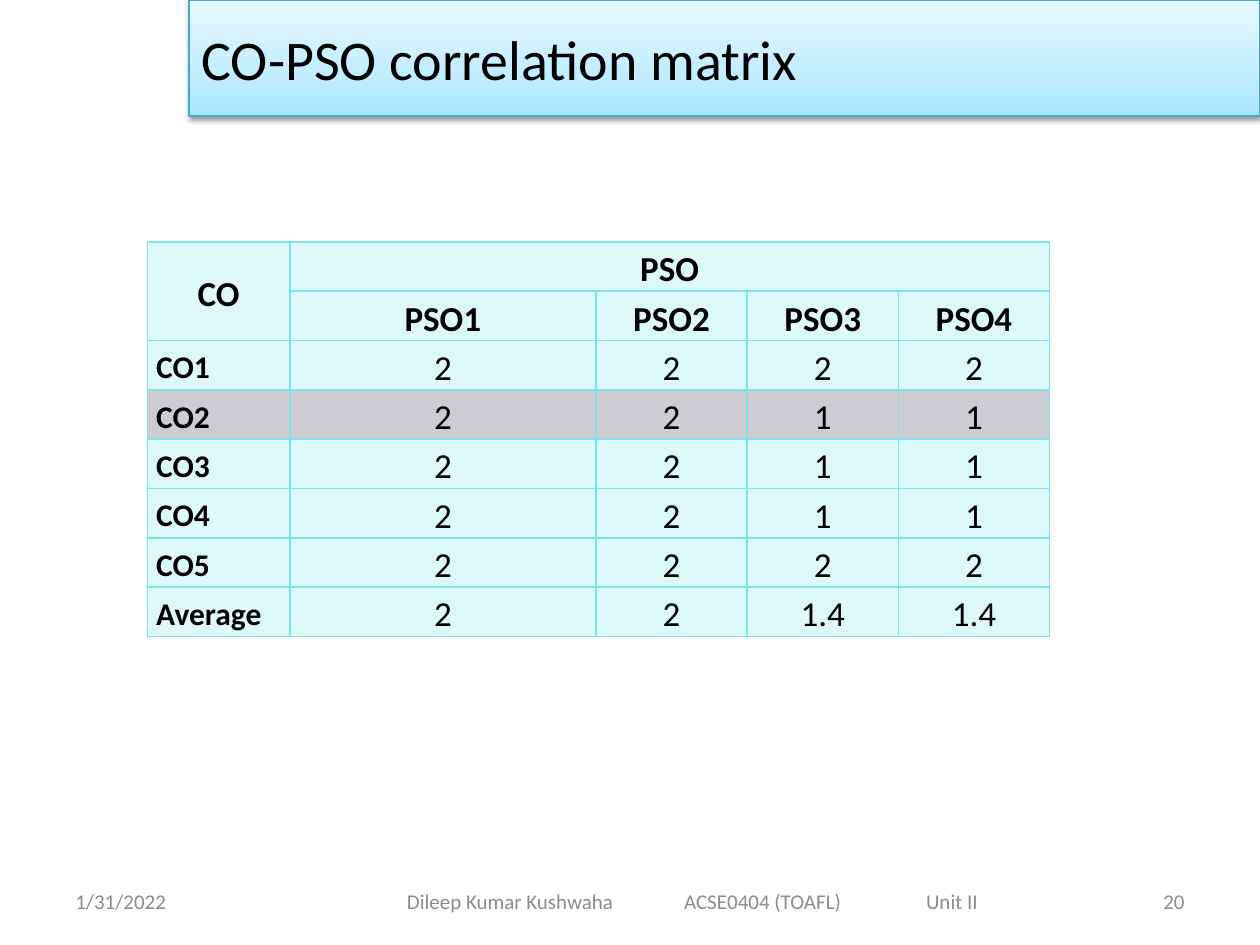
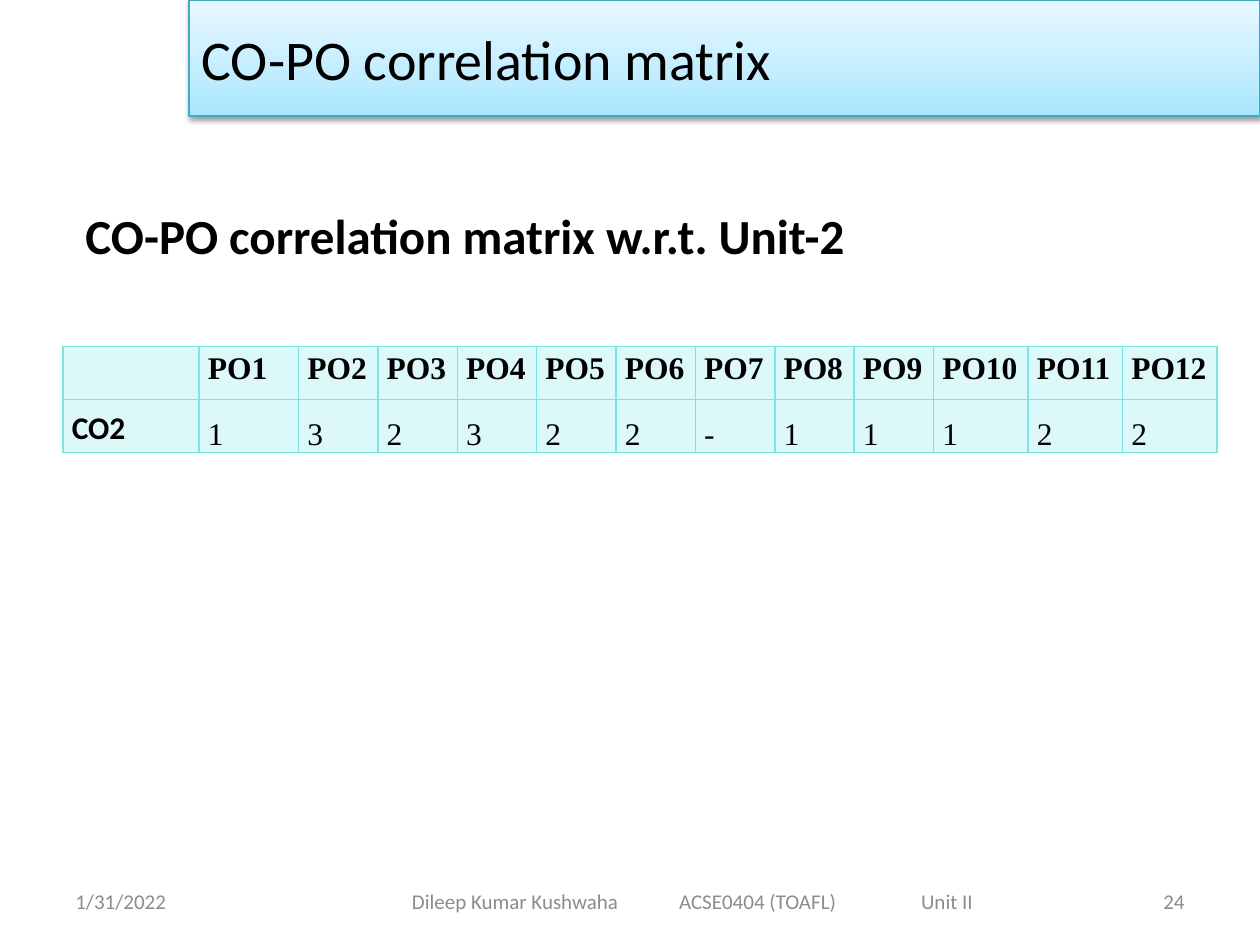
"""Build two slides that show course outcome correlation matrices."""
from lxml import etree
from pptx import Presentation
from pptx import oxml
from pptx import util as u
from pptx.dml.color import RGBColor
from pptx.enum import text as t
from pptx.oxml.ns import qn

SANS, SERIF = "Calibri", "Times New Roman"
BLACK, GREY, TEAL, PLUM, EDGE = "000000", "8C8C8C", "7BE5E5", "403152", "46AAC5"
BAND = [(0, "A7E6FF"), (35, "C1EDFF"), (100, "E7F8FF")]
NS = 'xmlns:a="http://schemas.openxmlformats.org/drawingml/2006/main"'
LEFT, MID, RIGHT, FULL = (t.PP_ALIGN.LEFT, t.PP_ALIGN.CENTER,
                          t.PP_ALIGN.RIGHT, t.PP_ALIGN.JUSTIFY)
TOP, CORE, BASE = t.MSO_ANCHOR.TOP, t.MSO_ANCHOR.MIDDLE, t.MSO_ANCHOR.BOTTOM

DATE = "1/31/2022"
FOOT = ["Dileep Kumar Kushwaha", "ACSE0404 (TOAFL)", "Unit II"]
SIDE = dict(size=18, bold=True, anchor=CORE)

PAGES = [
    dict(title="CO-PSO correlation matrix", num="20", stops=[3.23, 5.43, 7.35],
         at=(1.17, 1.92), wide=[1.13, 2.43] + [1.2] * 3, high=0.38,
         heads=2, spans=[(0, 0, 1, 0), (0, 1, 0, 4)], dark=3,
         corner=dict(size=20, bold=True, anchor=CORE, align=MID),
         head=dict(size=20, bold=True, align=MID),
         body=dict(size=20, align=MID),
         rows=[["CO", "PSO", "", "", ""],
               ["", "PSO1", "PSO2", "PSO3", "PSO4"],
               ["CO1", "2", "2", "2", "2"],
               ["CO2", "2", "2", "1", "1"],
               ["CO3", "2", "2", "1", "1"],
               ["CO4", "2", "2", "1", "1"],
               ["CO5", "2", "2", "2", "2"],
               ["Average", "2", "2", "1.4", "1.4"]]),
    dict(title="CO-PO correlation matrix", num="24", stops=[3.27, 5.39, 7.31],
         lead="CO-PO correlation matrix w.r.t. Unit-2",
         at=(0.5, 2.75), wide=[1.08, 0.79] + [0.63] * 8 + [0.75] * 3, high=0.42,
         heads=1, spans=[], dark=None, corner=SIDE,
         head=dict(size=18, bold=True, align=FULL, face=SERIF),
         body=dict(size=18, anchor=BASE, after=10, face=SERIF),
         rows=[[""] + [f"PO{n}" for n in range(1, 13)],
               ["CO2", "1", "3", "2", "3", "2", "2", "-", "1", "1", "1", "2", "2"]]),
]


def tint(code):
    return RGBColor.from_string(code)


def node(xml):
    return oxml.parse_xml(xml.replace(">", f" {NS}>", 1))


def put(frame, words, size=12, color=BLACK, face=SANS, bold=False,
        align=LEFT, space=None, after=None, tabs=()):
    para = frame.paragraphs[0]
    para.text = words
    para.alignment = align
    if space:
        para.line_spacing = space
    if after:
        para.space_after = u.Pt(after)
    if tabs:
        stops = etree.SubElement(para._p.get_or_add_pPr(), qn("a:tabLst"))
        for tab in tabs:
            etree.SubElement(stops, qn("a:tab"), pos=str(u.Inches(tab)), algn="l")
    for run in para.runs:
        font = run.font
        font.name, font.size, font.bold = face, u.Pt(size), bold
        font.color.rgb = tint(color)


def box(slide, words, place, wrap=True, anchor=CORE, inset=0.1, **form):
    frame = slide.shapes.add_textbox(*map(u.Inches, place)).text_frame
    frame.word_wrap = wrap
    frame.vertical_anchor = anchor
    frame.margin_left = u.Inches(inset)
    put(frame, words, **form)


def head(slide, words):
    bar = slide.shapes.title
    bar.left, bar.top, bar.width, bar.height = map(u.Inches, (1.5, 0, 8.5, 0.92))
    stops = "".join(f'<a:gs pos="{pos * 1000}"><a:srgbClr val="{code}"/></a:gs>'
                    for pos, code in BAND)
    props = bar._element.spPr
    props.append(node(f'<a:gradFill rotWithShape="1"><a:gsLst>{stops}</a:gsLst>'
                      '<a:lin ang="16200000" scaled="1"/></a:gradFill>'))
    bar.line.color.rgb = tint(EDGE)
    bar.line.width = u.Pt(0.75)
    props.append(node('<a:effectLst><a:outerShdw blurRad="40000" dist="20000" '
                      'dir="5400000" rotWithShape="0"><a:srgbClr val="000000">'
                      '<a:alpha val="38000"/></a:srgbClr></a:outerShdw></a:effectLst>'))
    bar.text_frame.vertical_anchor = CORE
    put(bar.text_frame, words, size=32)


def foot(slide, num, stops):
    start, *rest = stops
    box(slide, DATE, (0.5, 6.95, 2.33, 0.4), color=GREY)
    box(slide, num, (7.17, 6.95, 2.33, 0.4), color=GREY, align=RIGHT)
    box(slide, "\t".join(FOOT), (2.75, 6.95, 5.5, 0.4), color=GREY,
        inset=start - 2.75, tabs=[stop - start for stop in rest])


def paint(cell, code):
    cell.fill.solid()
    cell.fill.fore_color.rgb = tint(code)
    props = cell._tc.get_or_add_tcPr()
    etree.SubElement(props.find(".//" + qn("a:srgbClr")), qn("a:alpha"), val="25000")
    for spot, side in enumerate("LRTB"):
        props.insert(spot, node(f'<a:ln{side} w="12700"><a:solidFill><a:srgbClr '
                                f'val="{TEAL}"/></a:solidFill></a:ln{side}>'))


def fill(cell, words, anchor=TOP, **form):
    cell.margin_left = cell.margin_right = u.Inches(0.07)
    cell.margin_top = cell.margin_bottom = 0
    cell.vertical_anchor = anchor
    put(cell.text_frame, words, space=1.15, **form)


def grid(slide, page):
    rows, wide, high = page["rows"], page["wide"], page["high"]
    size = sum(wide), high * len(rows)
    table = slide.shapes.add_table(len(rows), len(wide),
                                   *map(u.Inches, page["at"] + size)).table
    table.first_row = table.horz_banding = False
    for col, width in zip(table.columns, wide):
        col.width = u.Inches(width)
    for r, row in enumerate(rows):
        table.rows[r].height = u.Inches(high)
        for c, words in enumerate(row):
            top = r < page["heads"]
            if c == 0:
                form = page["corner"] if top else SIDE
            else:
                form = page["head"] if top else page["body"]
            fill(table.cell(r, c), words, **form)
            paint(table.cell(r, c), PLUM if r == page["dark"] else TEAL)
    for r, c, last, end in page["spans"]:
        table.cell(r, c).merge(table.cell(last, end))


def main():
    deck = Presentation()
    deck.slide_width, deck.slide_height = u.Inches(10), u.Inches(7.5)
    for page in PAGES:
        slide = deck.slides.add_slide(deck.slide_layouts[5])
        head(slide, page["title"])
        grid(slide, page)
        foot(slide, page["num"], page["stops"])
        if "lead" in page:
            box(slide, page["lead"], (0.58, 1.58, 6.32, 0.57), wrap=False,
                anchor=TOP, size=28, bold=True)
    deck.save("out.pptx")


if __name__ == "__main__":
    main()
